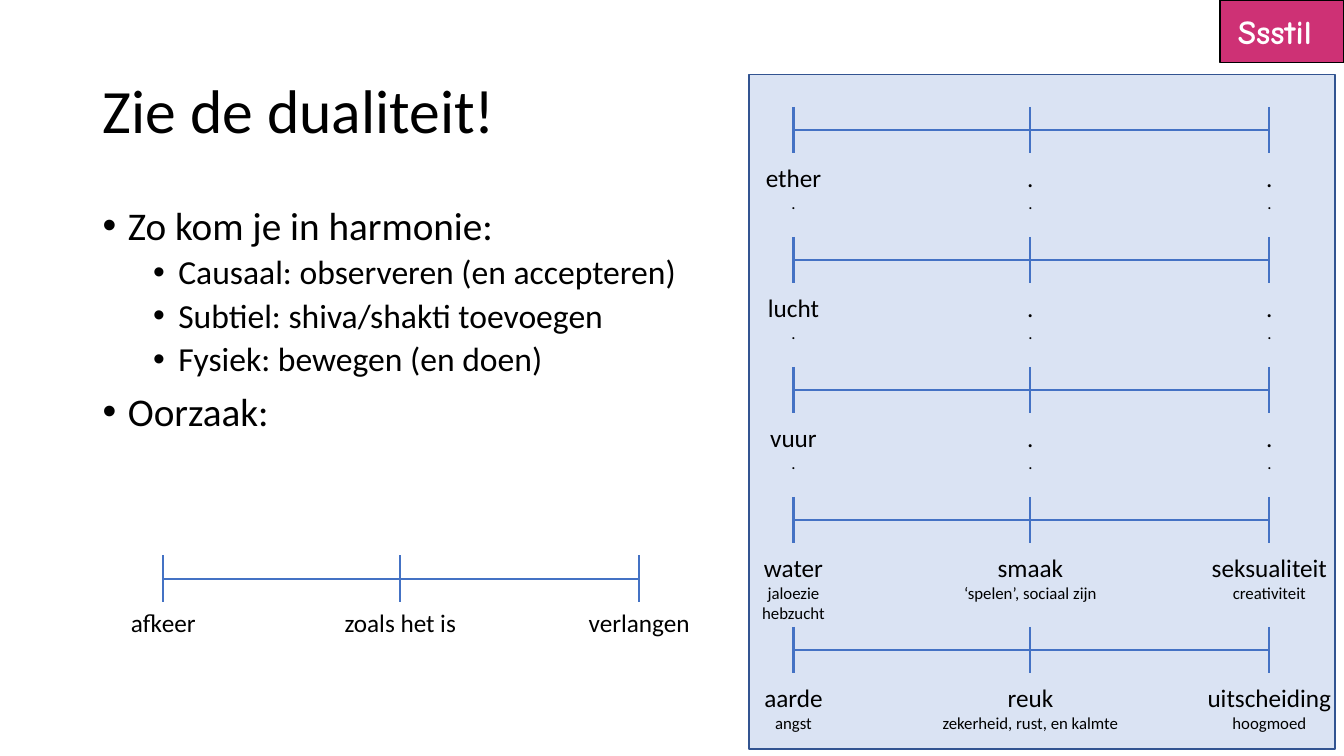
from lxml.etree import SubElement
from pptx import Presentation
from pptx.dml.color import RGBColor as Rgb
from pptx.enum.shapes import MSO_CONNECTOR as Connector, MSO_SHAPE as Shape
from pptx.enum.text import MSO_ANCHOR as Anchor, MSO_AUTO_SIZE as AutoSize, PP_ALIGN as Align
from pptx.oxml.ns import qn
from pptx.util import Inches, Pt

COLORS = {
    "text": "000000",
    "white": "FFFFFF",
    "scale": "4472C4",
    "panel": "DAE3F3",
    "panel_edge": "325491",
    "tag": "CE3175",
}
TICKS = (0, 2.35, 4.72)  # offsets of the left, middle and right tick

# Each label: box width, then its lines
DOT = (0.27, [".", "."])
ELEMENTS = [
    [(0.76, ["ether", "."]), DOT, DOT],
    [(0.72, ["lucht", "."]), DOT, DOT],
    [(0.67, ["vuur", "."]), DOT, DOT],
    [(0.83, ["water", "jaloezie", "hebzucht"]),
     (1.53, ["smaak", "‘spelen’, sociaal zijn"]),
     (1.36, ["seksualiteit", "creativiteit"])],
    [(0.79, ["aarde", "angst"]),
     (1.96, ["reuk", "zekerheid, rust, en kalmte"]),
     (1.44, ["uitscheiding", "hoogmoed"])],
]
CAUSE = [(0.84, ["afkeer"]), (1.32, ["zoals het is"]), (1.22, ["verlangen"])]
STEPS = [
    (0, "Zo kom je in harmonie:"),
    (1, "Causaal: observeren (en accepteren)"),
    (1, "Subtiel: shiva/shakti toevoegen"),
    (1, "Fysiek: bewegen (en doen)"),
    (0, "Oorzaak:"),
]


class SlideBuilder:
    def __init__(self, page, font="Calibri"):
        self.page = page
        self.font = font

    def style(self, para, size, color="text", font=None, bold=False):
        for span in para.runs:
            span.font.name = font or self.font
            span.font.size = Pt(size)
            span.font.bold = bold
            span.font.color.rgb = Rgb.from_string(COLORS[color])

    def text_box(self, left, top, width, height, lines, wrap=True):
        box = self.page.shapes.add_textbox(
            Inches(left), Inches(top), Inches(width), Inches(height))
        frame = box.text_frame
        frame.text = "\n".join(lines)
        frame.word_wrap = wrap
        return frame

    def title(self, text):
        frame = self.text_box(0.92, 0.4, 11.5, 1.45, [text])
        frame.vertical_anchor = Anchor.MIDDLE
        frame.paragraphs[0].line_spacing = 0.9
        self.style(frame.paragraphs[0], 44)

    def bullets(self, items):
        frame = self.text_box(0.92, 2, 11.5, 4.76, [text for _, text in items])
        for index, (para, (level, _)) in enumerate(zip(frame.paragraphs, items)):
            para.level = level
            para.line_spacing = 0.9
            para.space_before = Pt((5 if level else 10) if index else 0)
            props = para._p.get_or_add_pPr()
            props.set("marL", str(Inches(0.25 + 0.5 * level)))
            props.set("indent", str(Inches(-0.25)))
            SubElement(props, qn("a:buFont")).set("typeface", "Arial")
            SubElement(props, qn("a:buChar")).set("char", "•")
            self.style(para, 24 if level else 28)

    def rectangle(self, left, top, width, height, fill, edge):
        box = self.page.shapes.add_shape(
            Shape.RECTANGLE, Inches(left), Inches(top), Inches(width), Inches(height))
        box.shadow.inherit = False
        box.fill.solid()
        box.fill.fore_color.rgb = Rgb.from_string(COLORS[fill])
        box.line.color.rgb = Rgb.from_string(COLORS[edge])
        box.line.width = Pt(1)
        return box

    def tag(self, text):
        frame = self.rectangle(12.1, 0, 1.23, 0.62, "tag", "text").text_frame
        frame.text = text
        frame.margin_right = Inches(0.24)
        frame.vertical_anchor = Anchor.MIDDLE
        frame.paragraphs[0].alignment = Align.CENTER
        self.style(frame.paragraphs[0], 24, "white", "Comic Neue", True)

    def line(self, x1, y1, x2, y2):
        line = self.page.shapes.add_connector(
            Connector.STRAIGHT, Inches(x1), Inches(y1), Inches(x2), Inches(y2))
        line.line.color.rgb = Rgb.from_string(COLORS["scale"])
        line.line.width = Pt(1.5)
        SubElement(line._element.spPr, qn("a:effectLst"))

    def label(self, center, top, width, lines):
        height = 0.4 + 0.2 * (len(lines) - 1)
        frame = self.text_box(center - width / 2, top, width, height, lines, wrap=False)
        frame.auto_size = AutoSize.SHAPE_TO_FIT_TEXT
        for index, para in enumerate(frame.paragraphs):
            para.alignment = Align.CENTER
            self.style(para, 12 if index else 18)

    def scale(self, left, y, labels, label_drop):
        self.line(left, y, left + TICKS[-1], y)
        for offset, (width, lines) in zip(TICKS, labels):
            x = left + offset
            self.line(x, y - 0.23, x, y + 0.23)
            self.label(x, y + label_drop, width, lines)


def main():
    deck = Presentation()
    deck.slide_width = Inches(13.33)
    deck.slide_height = Inches(7.5)
    builder = SlideBuilder(deck.slides.add_slide(deck.slide_layouts[6]))

    # Steps and panel
    builder.bullets(STEPS)
    builder.rectangle(7.43, 0.74, 5.81, 6.69, "panel", "panel_edge")
    builder.title("Zie de dualiteit!")

    # Scale of the cause
    builder.scale(1.62, 5.74, CAUSE, 0.24)

    # One scale per element
    for row, labels in enumerate(ELEMENTS):
        builder.scale(7.87, 1.29 * (row + 1), labels, 0.27)

    # Corner tag
    builder.tag("Ssstil")
    deck.save("out.pptx")


if __name__ == "__main__":
    main()
